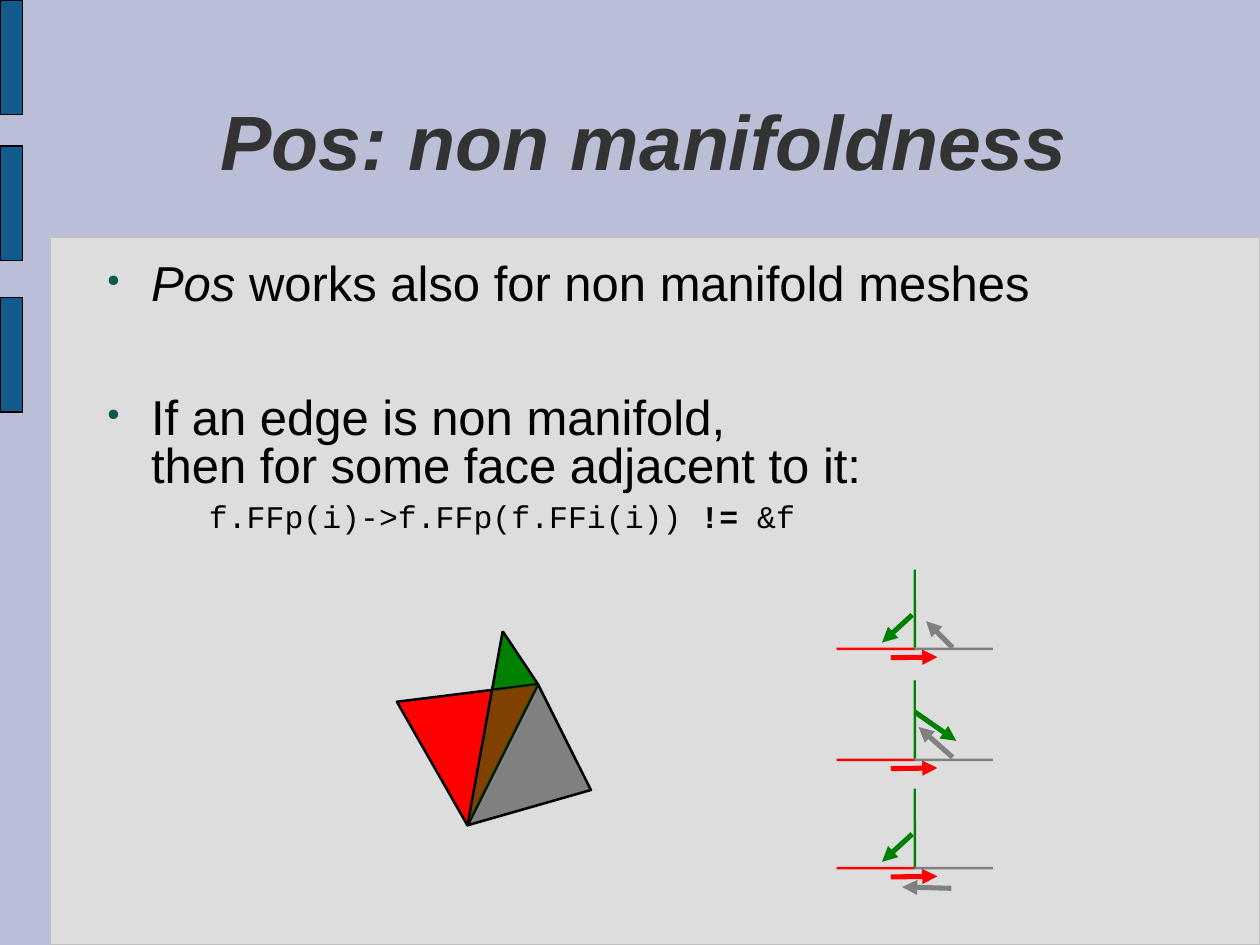
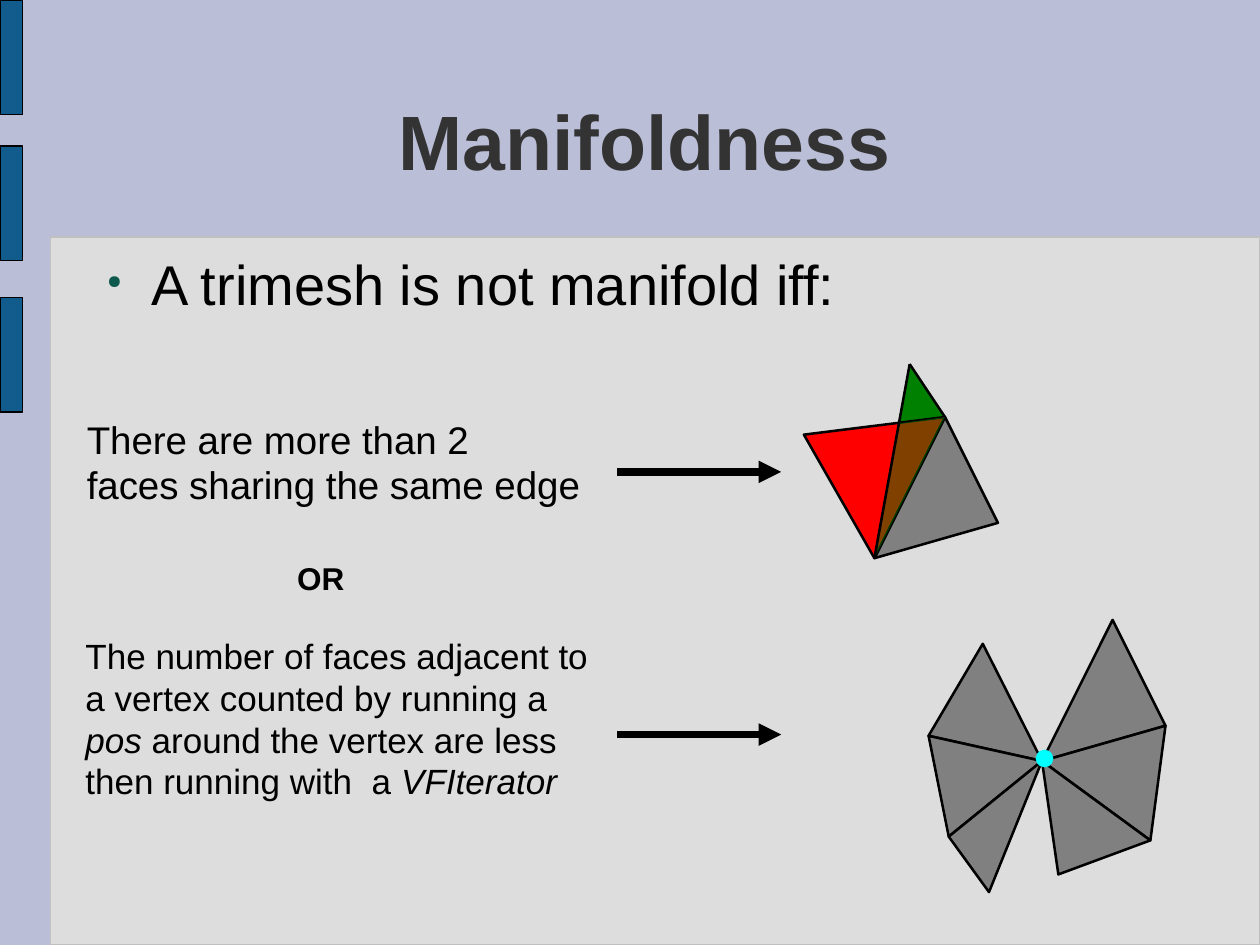
"""Build two slides on mesh manifoldness: the Pos structure and the two non-manifold cases."""
from itertools import pairwise

from lxml import etree
from pptx import Presentation, util as u
from pptx.dml.color import RGBColor
from pptx.enum import shapes, text
from pptx.oxml.ns import qn

BACKDROP, PANEL, PANEL_EDGE, BAND = "BABED6", "DDDDDD", "C0C0C0", "125C8D"
TITLE, BULLET, INK = "333333", "0E594D", "000000"
RED, GREEN, GREY, CYAN = "FF0000", "008000", "808080", "00FFFF"
EDGE = 1.45
rgb = RGBColor.from_string

deck = Presentation()
deck.slide_width, deck.slide_height = u.Inches(10), u.Inches(7.5)
cell = deck.slide_width // 100


def paint(shape, fill, edge=None, weight=0.75):
    """Give a shape a flat fill and an optional outline."""
    shape.shadow.inherit = False
    shape.fill.solid()
    shape.fill.fore_color.rgb = rgb(fill)
    if edge:
        shape.line.color.rgb = rgb(edge)
        shape.line.width = u.Pt(weight)
    else:
        shape.line.fill.background()


def write(slide, place, size, paragraphs, font="Arial", colour=INK, inset=(1, 0.5), wrap=False,
          spacing=0.81, before=0, after=(0,), indent=None, bullet=False,
          align=text.PP_ALIGN.LEFT, anchor=text.MSO_ANCHOR.TOP):
    """Add a text box; each paragraph is a list of (words, style letters) runs."""
    box = slide.shapes.add_textbox(*[round(n * cell) for n in place])
    frame = box.text_frame
    frame.word_wrap, frame.vertical_anchor = wrap, anchor
    frame.margin_left = frame.margin_right = round(inset[0] * cell)
    frame.margin_top = frame.margin_bottom = round(inset[1] * cell)
    for number, runs in enumerate(paragraphs):
        para = frame.add_paragraph() if number else frame.paragraphs[0]
        para.alignment, para.line_spacing = align, spacing
        para.space_before = u.Pt(before)
        para.space_after = u.Pt(after[number % len(after)])
        props = para._p.get_or_add_pPr()
        if indent:
            props.set("marL", str(round(indent[0] * cell)))
            props.set("indent", str(round(indent[1] * cell)))
        if bullet:
            tint = etree.SubElement(props, qn("a:buClr"))
            etree.SubElement(tint, qn("a:srgbClr"), val=BULLET)
            etree.SubElement(props, qn("a:buSzPct"), val="33000")
            etree.SubElement(props, qn("a:buChar"), char="●")
        for words, style in runs:
            for index, line in enumerate(words.split("\n")):
                if index:
                    para.add_line_break()
                span = para.add_run()
                span.text = line
                span.font.name, span.font.size = font, u.Pt(size)
                span.font.bold, span.font.italic = "b" in style, "i" in style
                span.font.color.rgb = rgb(colour)


pages = []
for heading, style in [("Pos: non manifoldness", "bi"), ("Manifoldness", "b")]:
    page = deck.slides.add_slide(deck.slide_layouts[6])
    page.background.fill.solid()
    page.background.fill.fore_color.rgb = rgb(BACKDROP)
    panel = page.shapes.add_shape(shapes.MSO_SHAPE.RECTANGLE, 4 * cell, round(18.8 * cell),
                                  96 * cell, round(56.2 * cell))
    paint(panel, PANEL, PANEL_EDGE)
    for top in (0, 11.6, 23.6):
        band = page.shapes.add_shape(shapes.MSO_SHAPE.RECTANGLE, 0, round(top * cell),
                                     round(1.8 * cell), round(9.1 * cell))
        paint(band, BAND, INK)
    write(page, (7.3, 5.4, 85.4, 12.7), 44, [[(heading, style)]], colour=TITLE, inset=(0, 0),
          wrap=True, indent=(4.7, -2.4), align=text.PP_ALIGN.CENTER,
          anchor=text.MSO_ANCHOR.MIDDLE)
    pages.append(page)
pos_page, cases_page = pages

write(pos_page, (7.3, 20.9, 85.4, 46.3), 28,
      [[("Pos", "i"), (" works also for non manifold meshes", "")],
       [("If an edge is non manifold,\nthen for some face adjacent to it:", "")]],
      inset=(0, 0), wrap=True, before=5.8, after=(43.5, 5.2), indent=(4.7, -3.5), bullet=True)
write(pos_page, (15.6, 39.3, 48.5, 3.8), 18,
      [[("f.FFp(i)->f.FFp(f.FFi(i)) ", ""), ("!=", "b"), (" &f", "")]],
      font="Courier New", spacing=0.89)

write(cases_page, (7.3, 20.8, 85.4, 8.7), 32, [[("A trimesh is not manifold iff:", "")]],
      inset=(0, 0), wrap=True, after=(6,), indent=(4.7, -3.5), bullet=True)
write(cases_page, (5.9, 33.2, 42.1, 8), 22,
      [[("There are more than 2", "")], [("faces sharing the same edge", "")]], before=4.4)
write(cases_page, (22.6, 44.4, 8, 3.9), 18, [[("OR", "b")]], wrap=True)
write(cases_page, (5.8, 50.5, 45.5, 14), 20,
      [[("The number of faces adjacent to", "")],
       [("a vertex counted by running a", "")],
       [("pos ", "i"), ("around the vertex are less", "")],
       [("then running with  a", ""), (" VFIterator", "i")]],
      wrap=True, after=(4.4,))

triangles, lines = [], []
for page, x, y in [(pos_page, 37.1, 65.5), (cases_page, 69.4, 44.3)]:
    foot, tip, hinge, peak, wing, crossing = [
        (x + dx, y + dy) for dx, dy in
        [(0, 0), (9.8, -2.8), (5.6, -11.2), (2.8, -15.4), (-5.6, -9.8), (2, -10.7)]]
    triangles += [(page, (foot, tip, hinge), GREY, INK, 100),
                  (page, (crossing, peak, hinge), GREEN, None, 100),
                  (page, (foot, wing, hinge), RED, INK, 100),
                  (page, (foot, crossing, hinge), GREEN, None, 50)]
    lines += [(page, foot, peak, INK, EDGE, False), (page, hinge, peak, INK, EDGE, False)]

hub = (82.7, 60.4)
for rim in [[(88.3, 49.2), (92.5, 57.6), (91.3, 66.7), (84, 69.4)],
            [(78, 51.1), (73.7, 58.4), (75.3, 66.4), (78.5, 70.8)]]:
    triangles += [(cases_page, (hub, *pair), GREY, INK, 100) for pair in pairwise(rim)]
lines += [(cases_page, (49, y), (62, y), INK, 4.31, True) for y in (37.45, 58.3)]

joint = 72.6
red_move = (RED, -1.9, 0.8, 1.8, 0.75)
green_move = (GREEN, -0.2, -2.6, -2.6, -0.4)
steps = [(51.4, [(GREY, 3, 0, 0.9, -2.1), green_move, red_move]),
         (60.2, [(GREY, 3, -0.1, 0.3, -2.5), (GREEN, 0, -3.7, 3.3, -1.4), red_move]),
         (68.8, [(GREY, 2.9, 1.7, -1, 1.6), green_move, red_move])]
for floor, moves in steps:
    for colour, *place in [(RED, joint - 6.2, floor, 6.2, 0.2), (GREY, joint, floor, 6.2, 0.2),
                           (GREEN, joint - 0.1, floor - 6.2, 0.2, 6.2)]:
        face = pos_page.shapes.add_shape(shapes.MSO_SHAPE.ROUNDED_RECTANGLE,
                                         *[round(n * cell) for n in place])
        face.adjustments[0] = 0.1
        paint(face, colour)
    for colour, x1, y1, x2, y2 in moves:
        lines.append((pos_page, (joint + x1, floor + y1), (joint + x2, floor + y2),
                      colour, 2.89, True))

for page, corners, fill, edge, opacity in triangles:
    points = [(round(x * cell), round(y * cell)) for x, y in corners]
    builder = page.shapes.build_freeform(*points[0])
    builder.add_line_segments(points[1:], close=True)
    triangle = builder.convert_to_shape()
    paint(triangle, fill, edge, EDGE)
    if opacity < 100:
        tint = triangle._element.spPr.find(".//" + qn("a:srgbClr"))
        etree.SubElement(tint, qn("a:alpha"), val=str(opacity * 1000))

for page, start, end, colour, weight, arrow in lines:
    line = page.shapes.add_connector(shapes.MSO_CONNECTOR.STRAIGHT,
                                     *[round(n * cell) for n in (*start, *end)])
    line.line.color.rgb = rgb(colour)
    line.line.width = u.Pt(weight)
    props = line._element.spPr
    if arrow:
        etree.SubElement(props.find(qn("a:ln")), qn("a:tailEnd"), type="triangle")
    etree.SubElement(props, qn("a:effectLst"))

vertex = cases_page.shapes.add_shape(shapes.MSO_SHAPE.OVAL, round(82.2 * cell),
                                     round(59.5 * cell), round(1.4 * cell), round(1.4 * cell))
paint(vertex, CYAN)

deck.save("out.pptx")
